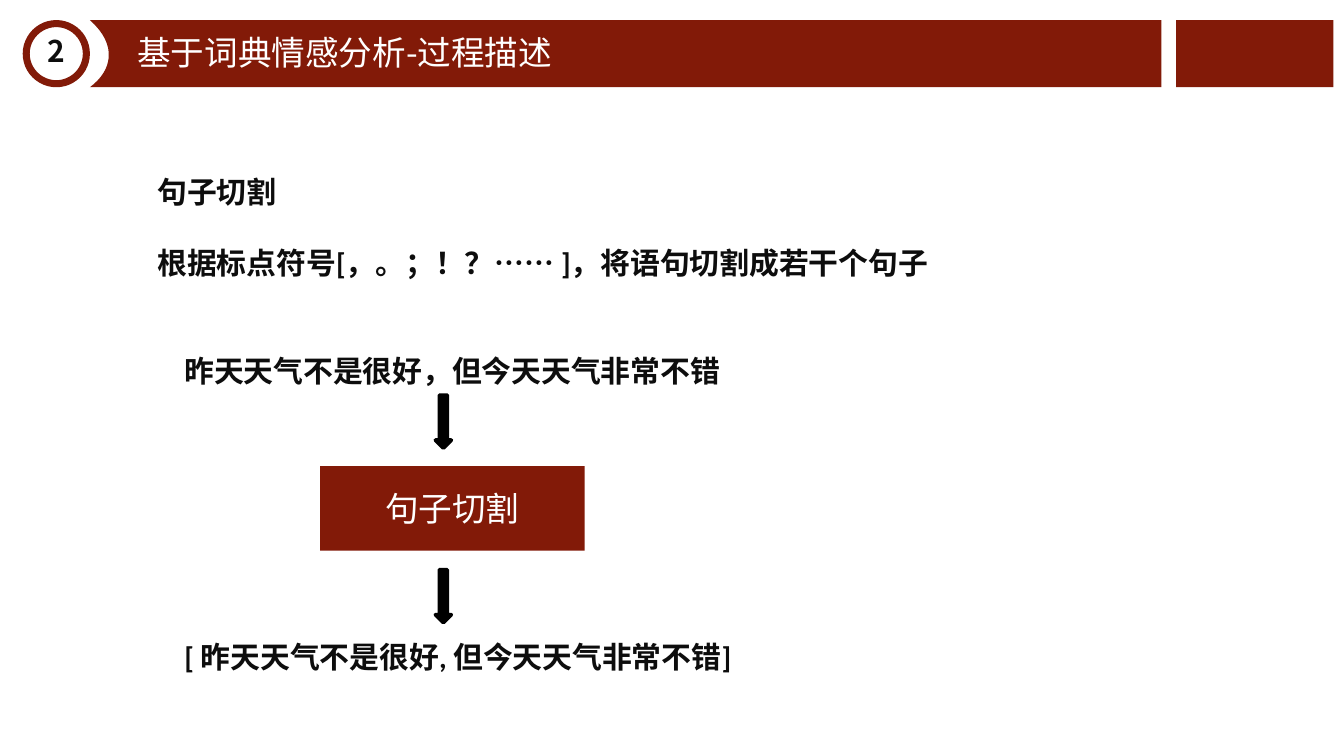
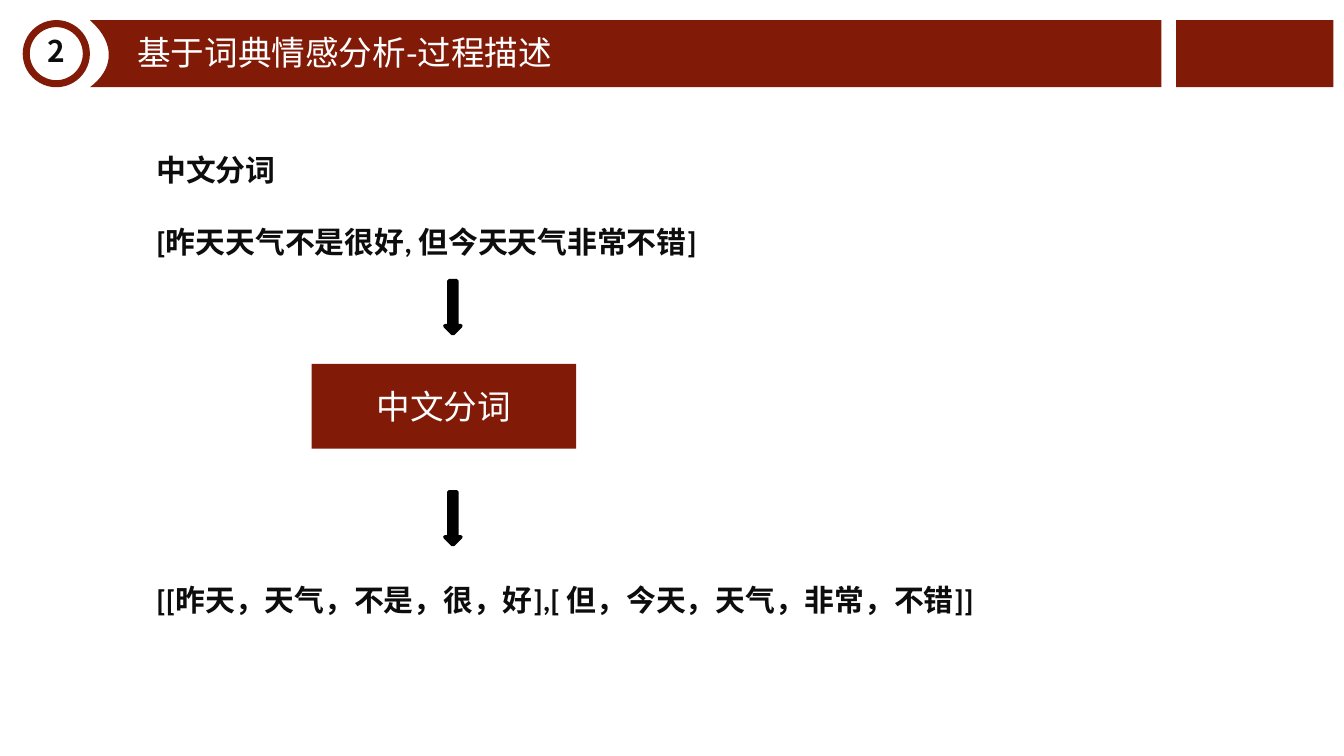
from dataclasses import dataclass

from lxml.etree import SubElement
from pptx import Presentation
from pptx.dml.color import RGBColor
from pptx.enum.shapes import MSO_SHAPE
from pptx.enum.text import MSO_ANCHOR, MSO_AUTO_SIZE, PP_ALIGN
from pptx.oxml.ns import qn
from pptx.util import Cm, Pt


@dataclass(frozen=True)
class Theme:
    red: RGBColor = RGBColor(0x82, 0x1A, 0x08)
    ink: RGBColor = RGBColor(0x0D, 0x0D, 0x0D)
    black: RGBColor = RGBColor(0, 0, 0)
    white: RGBColor = RGBColor(0xFF, 0xFF, 0xFF)
    cjk: str = "Noto Sans CJK SC"
    latin: str = "Calibri"
    title_size: float = 18
    body_size: float = 16
    line_pitch: float = 19.2
    arrow_line: float = 2


SECTION = "2"
TITLE = "基于词典情感分析-过程描述"
BAND_TOP, BAND_HEIGHT = 0.38, 1.27
BAND_LEFT, BAND_RIGHT = 1.7, 21.95
CURVE_STEPS = 16


class Deck:
    def __init__(self, theme):
        self.theme = theme
        self.prs = Presentation()
        self.prs.slide_width, self.prs.slide_height = Cm(25.4), Cm(14.29)
        self.slide = None

    def new_slide(self):
        self.slide = self.prs.slides.add_slide(self.prs.slide_layouts[1])
        self.header()

    def header(self):
        """Section badge, curved band, end block and title."""
        t = self.theme
        badge = self.block(MSO_SHAPE.DONUT, 0.43, BAND_TOP, BAND_HEIGHT, BAND_HEIGHT, t.red)
        badge.adjustments[0] = 0.105
        self.label(badge, SECTION, t.body_size, t.ink, bold=True)
        badge.text_frame.paragraphs[0].line_spacing = 0.8
        self.band()
        self.block(MSO_SHAPE.RECTANGLE, 22.23, BAND_TOP, 2.97, BAND_HEIGHT, t.red)

        title = self.slide.shapes.title
        frame = self.place(title, 2.34, 0.48, 19.05, 1.02)
        frame.vertical_anchor = MSO_ANCHOR.MIDDLE
        frame.paragraphs[0].alignment = PP_ALIGN.LEFT
        self.run(frame.paragraphs[0], TITLE, t.title_size, t.white, t.cjk)

    def band(self):
        """Title band whose left edge curves around the badge."""
        bottom = BAND_TOP + BAND_HEIGHT
        curve = [(BAND_LEFT, bottom), (2.11, 1.35), (2.24, 0.86), (BAND_LEFT, BAND_TOP)]
        points = [(BAND_RIGHT, BAND_TOP), (BAND_RIGHT, bottom)]
        for step in range(CURVE_STEPS):
            u = step / CURVE_STEPS
            weights = ((1 - u) ** 3, 3 * u * (1 - u) ** 2, 3 * u * u * (1 - u), u ** 3)
            points.append(tuple(sum(w * p[axis] for w, p in zip(weights, curve))
                                for axis in (0, 1)))
        outline = self.slide.shapes.build_freeform(Cm(BAND_LEFT), Cm(BAND_TOP))
        outline.add_line_segments([(Cm(x), Cm(y)) for x, y in points], close=True)
        self.paint(outline.convert_to_shape(), self.theme.red)

    def paint(self, shape, color):
        shape.shadow.inherit = False
        shape.fill.solid()
        shape.fill.fore_color.rgb = color
        shape.line.fill.background()

    def block(self, kind, left, top, width, height, color):
        shape = self.slide.shapes.add_shape(kind, Cm(left), Cm(top), Cm(width), Cm(height))
        self.paint(shape, color)
        return shape

    def run(self, paragraph, text, size, color, latin, bold=False):
        run = paragraph.add_run()
        run.text = text
        font = run.font
        font.size, font.bold, font.name = Pt(size), bold, latin
        font.color.rgb = color
        SubElement(run._r.get_or_add_rPr(), qn("a:ea"), typeface=self.theme.cjk)

    def label(self, shape, text, size, color, bold=False):
        frame = shape.text_frame
        frame.margin_left = frame.margin_right = frame.margin_top = frame.margin_bottom = 0
        frame.vertical_anchor = MSO_ANCHOR.MIDDLE
        frame.paragraphs[0].alignment = PP_ALIGN.CENTER
        self.run(frame.paragraphs[0], text, size, color, self.theme.cjk, bold)

    def place(self, holder, left, top, width, height):
        """Move a placeholder and bring it to the front."""
        holder.left, holder.top = Cm(left), Cm(top)
        holder.width, holder.height = Cm(width), Cm(height)
        holder.element.getparent().append(holder.element)
        frame = holder.text_frame
        frame.auto_size = MSO_AUTO_SIZE.NONE
        frame.word_wrap = True
        return frame

    def body(self, left, top, lines):
        """Each line is (text, free lines above it, indent in cm)."""
        t = self.theme
        frame = self.place(self.slide.placeholders[1], left, top, 18.67, 9.83)
        frame.vertical_anchor = MSO_ANCHOR.TOP
        for i, (text, gap, indent) in enumerate(lines):
            paragraph = frame.add_paragraph() if i else frame.paragraphs[0]
            paragraph.alignment = PP_ALIGN.LEFT
            paragraph.line_spacing = Pt(t.line_pitch)
            paragraph.space_before = Pt(gap * t.line_pitch)
            paragraph.space_after = Pt(0)
            props = paragraph._p.get_or_add_pPr()
            props.set("marL", str(Cm(indent)))
            props.set("indent", "0")
            SubElement(props, qn("a:buNone"))
            self.run(paragraph, text, t.body_size, t.ink, t.latin, bold=True)

    def step(self, text, left, top):
        box = self.block(MSO_SHAPE.RECTANGLE, left, top, 5, 1.6, self.theme.red)
        self.label(box, text, self.theme.title_size, self.theme.white)

    def arrows(self, left, tops):
        for top in tops:
            arrow = self.block(MSO_SHAPE.DOWN_ARROW, left, top, 0.3, 1, self.theme.black)
            arrow.line.color.rgb = self.theme.black
            arrow.line.width = Pt(self.theme.arrow_line)


def main():
    deck = Deck(Theme())

    # Sentence splitting
    deck.new_slide()
    deck.body(2.72, 3.15, [
        ("句子切割", 0, 0),
        ("根据标点符号[，。；！？…… ]，将语句切割成若干个句子", 1, 0),
        ("昨天天气不是很好，但今天天气非常不错", 2, 0.51),
        ("[ 昨天天气不是很好, 但今天天气非常不错]", 7, 0.51),
    ])
    deck.step("句子切割", 6.05, 8.81)
    deck.arrows(8.23, (7.47, 10.77))

    # Word segmentation
    deck.new_slide()
    deck.body(2.7, 2.74, [
        ("中文分词", 0, 0),
        ("[昨天天气不是很好, 但今天天气非常不错]", 1, 0),
        ("[[昨天，天气，不是，很，好],[ 但，今天，天气，非常，不错]]", 9, 0),
    ])
    deck.step("中文分词", 5.89, 6.88)
    deck.arrows(8.41, (5.31, 9.3))

    deck.prs.save("out.pptx")


if __name__ == "__main__":
    main()
